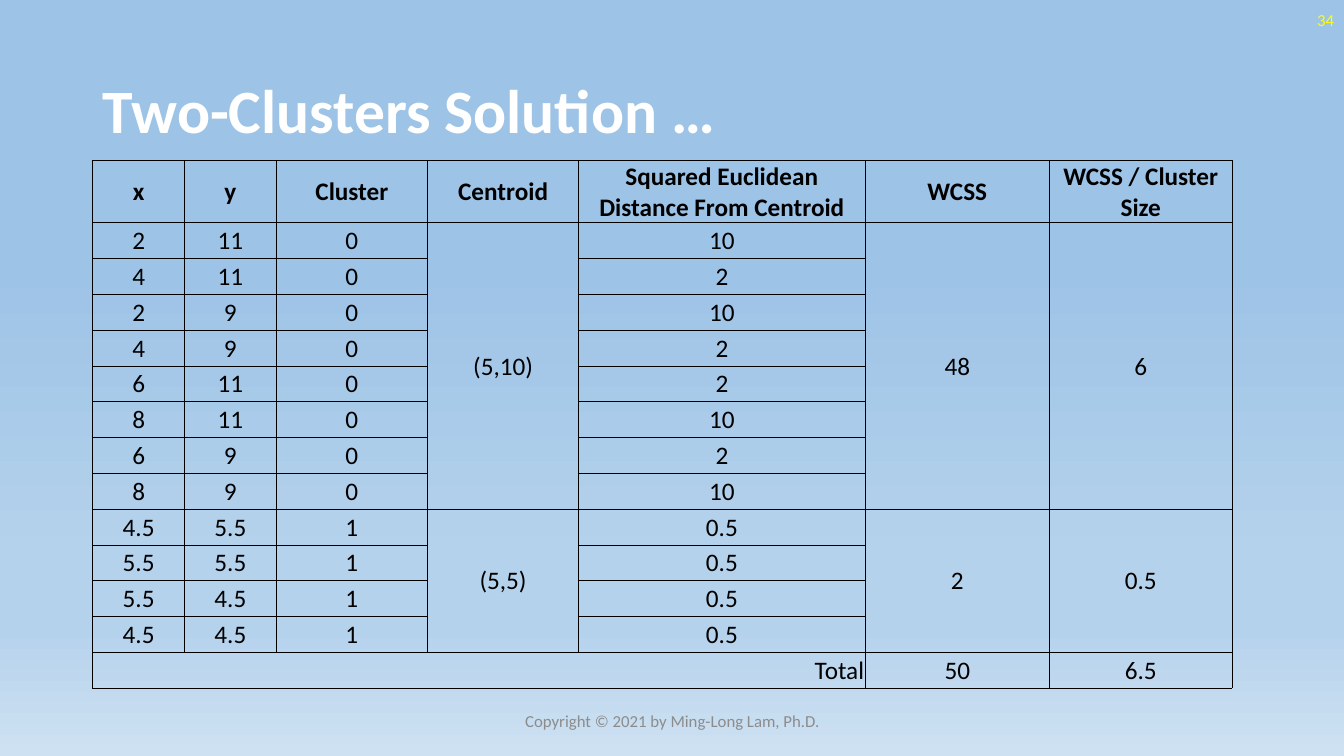
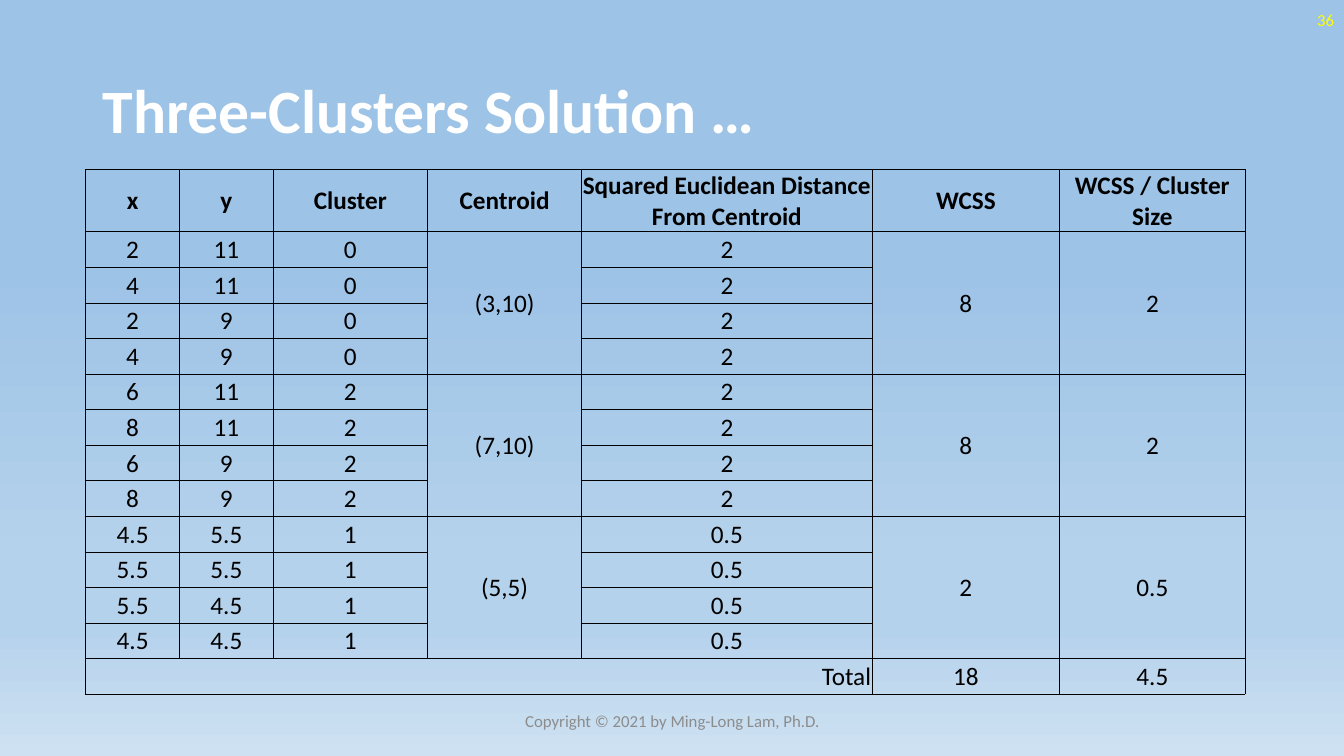
from itertools import accumulate

from lxml.etree import SubElement
from pptx import Presentation
from pptx.dml.color import RGBColor
from pptx.enum.text import MSO_ANCHOR as Anchor, PP_ALIGN as Align
from pptx.oxml.ns import qn
from pptx.util import Inches, Pt

FONT = "Calibri"
WHITE = RGBColor(0xFF, 0xFF, 0xFF)
BLACK = RGBColor(0x00, 0x00, 0x00)
YELLOW = RGBColor(0xFF, 0xFF, 0x00)
GRAY = RGBColor(0x8C, 0x8C, 0x8C)
SKY = RGBColor(0x9D, 0xC3, 0xE6)
PALE_SKY = RGBColor(0xB5, 0xD2, 0xEC)
HAZE = RGBColor(0xCE, 0xE1, 0xF2)
BACKGROUND = ((35, SKY), (74, PALE_SKY), (83, PALE_SKY), (100, HAZE))

COPYRIGHT = "Copyright © 2021 by Ming-Long Lam, Ph.D."
HEADINGS = ("x", "y", "Cluster", "Centroid",
            "Squared Euclidean Distance From Centroid",
            "WCSS", "WCSS / Cluster Size")
CENTROID, DISTANCE, WCSS, RATIO = 3, 4, 5, 6
HEADER_HEIGHT = 0.62

UPPER_LEFT = ((2, 11), (4, 11), (2, 9), (4, 9))
UPPER_RIGHT = ((6, 11), (8, 11), (6, 9), (8, 9))
LOWER = ((4.5, 5.5), (5.5, 5.5), (5.5, 4.5), (4.5, 4.5))

# Each cluster: label, centroid, points.
TWO_CLUSTERS = ((0, (5, 10), UPPER_LEFT + UPPER_RIGHT), (1, (5, 5), LOWER))
THREE_CLUSTERS = ((0, (3, 10), UPPER_LEFT), (2, (7, 10), UPPER_RIGHT),
                  (1, (5, 5), LOWER))


def write(frame, text, size=18, color=BLACK, bold=False, align=Align.CENTER,
          spacing=None):
    """Put one formatted paragraph, centred vertically, into a text frame."""
    frame.word_wrap = True
    frame.vertical_anchor = Anchor.MIDDLE
    para = frame.paragraphs[0]
    para.alignment = align
    para.line_spacing = spacing
    span = para.add_run()
    span.text = text
    span.font.name = FONT
    span.font.size = Pt(size)
    span.font.bold = bold
    span.font.color.rgb = color


def place(shape, left, top, width, height):
    """Move and size a shape, in inches."""
    shape.left, shape.top = Inches(left), Inches(top)
    shape.width, shape.height = Inches(width), Inches(height)


def add_label(page, text, left, top, width, height, **style):
    """Add a text box with one line of small text."""
    box = page.shapes.add_textbox(Inches(left), Inches(top),
                                  Inches(width), Inches(height))
    write(box.text_frame, text, size=12, **style)


def set_background(master):
    """Give every slide the vertical sky gradient."""
    master.background.fill.gradient()
    gradient = master.element.xpath(".//p:bgPr/a:gradFill")[0]
    for child in list(gradient):
        gradient.remove(child)
    stops = SubElement(gradient, qn("a:gsLst"))
    for percent, color in BACKGROUND:
        stop = SubElement(stops, qn("a:gs"), pos=str(percent * 1000))
        SubElement(stop, qn("a:srgbClr"), val=str(color))
    SubElement(gradient, qn("a:lin"), ang="5400000", scaled="0")


def add_page(deck, title, number):
    """Add a slide with its title, number and copyright line."""
    page = deck.slides.add_slide(deck.slide_layouts.get_by_name("Title Only"))
    place(page.shapes.title, 0.92, 0.4, 11.5, 1.45)
    write(page.shapes.title.text_frame, title, size=44, color=WHITE,
          bold=True, align=Align.LEFT, spacing=0.9)
    add_label(page, str(number), 10.33, 0, 3, 0.4, color=YELLOW,
              align=Align.RIGHT)
    add_label(page, COPYRIGHT, 4.42, 6.95, 4.5, 0.4, color=GRAY)
    return page


def style_cell(cell):
    """Make a cell clear, with thin black borders and tight margins."""
    cell.margin_left = cell.margin_top = cell.margin_right = Inches(0.01)
    cell.margin_bottom = 0
    properties = cell._tc.get_or_add_tcPr()
    for side in ("a:lnL", "a:lnR", "a:lnT", "a:lnB"):
        line = SubElement(properties, qn(side), w=str(Pt(0.5)))
        fill = SubElement(line, qn("a:solidFill"))
        SubElement(fill, qn("a:srgbClr"), val=str(BLACK))
    cell.fill.background()


def fill_cell(cell, value, **style):
    """Write a value in a cell and centre it vertically."""
    text = value if isinstance(value, str) else f"{value:g}"
    cell.vertical_anchor = Anchor.MIDDLE
    write(cell.text_frame, text, **style)


def squared_distance(point, centroid):
    """Return the squared Euclidean distance of two points."""
    return sum((a - b) ** 2 for a, b in zip(point, centroid))


def fill_cluster(table, first, cluster):
    """Fill the rows of one cluster; return its WCSS and WCSS / size."""
    label, centroid, points = cluster
    distances = [squared_distance(point, centroid) for point in points]
    for row, (point, distance) in enumerate(zip(points, distances), first):
        for column, value in enumerate((*point, label)):
            fill_cell(table.cell(row, column), value)
        fill_cell(table.cell(row, DISTANCE), distance)
    wcss = sum(distances)
    ratio = wcss / len(points)
    last = first + len(points) - 1
    merged = {CENTROID: "({},{})".format(*centroid), WCSS: wcss, RATIO: ratio}
    for column, value in merged.items():
        table.cell(first, column).merge(table.cell(last, column))
        fill_cell(table.cell(first, column), value)
    return wcss, ratio


def add_cluster_table(page, clusters, left, top, height, widths):
    """Add the table of points, distances and sums of squares."""
    sizes = [len(points) for _, _, points in clusters]
    total = sum(sizes) + 1
    table = page.shapes.add_table(
        total + 1, len(widths), Inches(left), Inches(top),
        Inches(sum(widths)), Inches(height)).table
    table.first_row = table.horz_banding = False
    for column, width in zip(table.columns, widths):
        column.width = Inches(width)
    for row in table.rows:
        row.height = Inches((height - HEADER_HEIGHT) / total)
    table.rows[0].height = Inches(HEADER_HEIGHT)
    for cell in table.iter_cells():
        style_cell(cell)

    for column, heading in enumerate(HEADINGS):
        fill_cell(table.cell(0, column), heading, bold=True)
    starts = accumulate(sizes, initial=1)
    sums = [fill_cluster(table, first, cluster)
            for first, cluster in zip(starts, clusters)]
    table.cell(total, 0).merge(table.cell(total, DISTANCE))
    fill_cell(table.cell(total, 0), "Total", align=Align.RIGHT)
    for column, values in zip((WCSS, RATIO), zip(*sums)):
        fill_cell(table.cell(total, column), sum(values))


def main():
    """Build and save the deck."""
    deck = Presentation()
    deck.slide_width, deck.slide_height = Inches(13.33), Inches(7.5)
    set_background(deck.slide_master)

    page = add_page(deck, "Two-Clusters Solution …", 34)
    add_cluster_table(page, TWO_CLUSTERS, 0.92, 1.59, 5.24,
                      (0.91, 0.91, 1.5, 1.5, 2.84, 1.83, 1.81))

    page = add_page(deck, "Three-Clusters Solution …", 36)
    add_cluster_table(page, THREE_CLUSTERS, 0.85, 1.68, 5.21,
                      (0.93, 0.93, 1.53, 1.53, 2.88, 1.86, 1.84))

    deck.save("out.pptx")


main()
